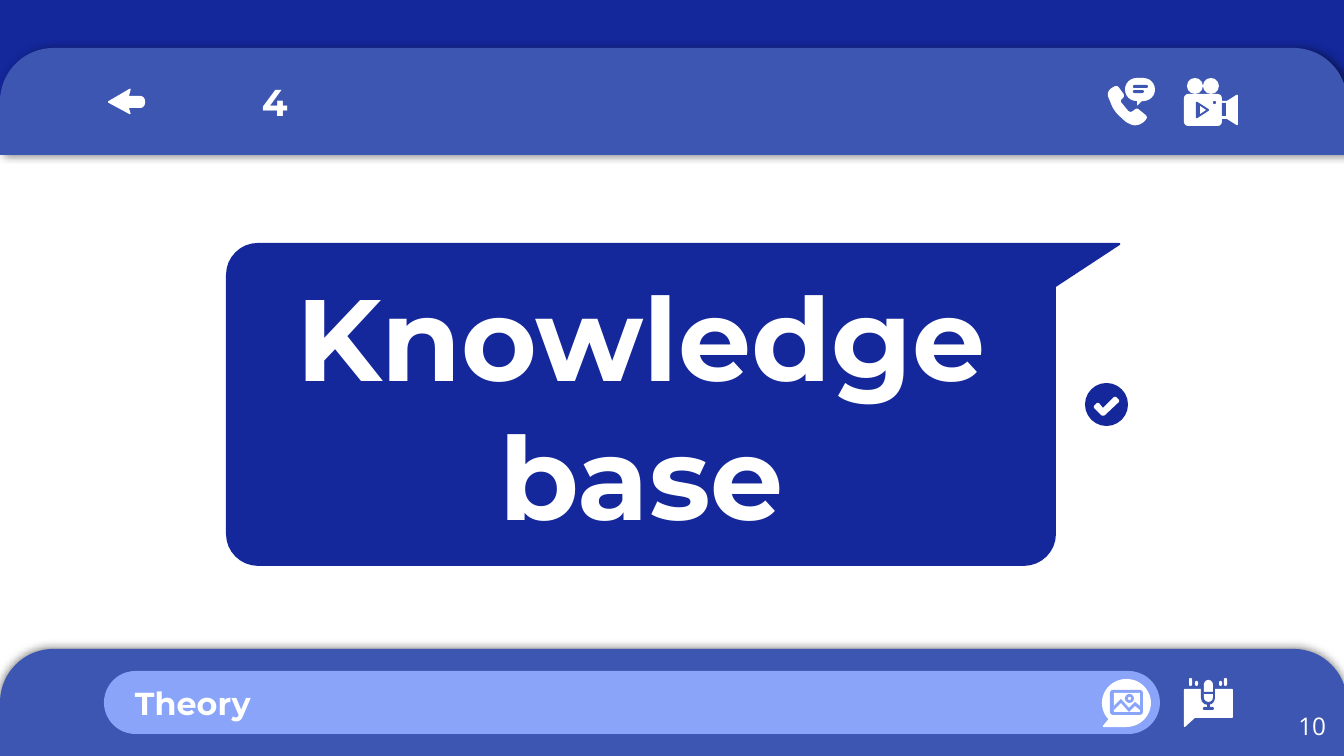
import math

import lxml.etree
import pptx
import pptx.dml.color
import pptx.enum.shapes
import pptx.enum.text
import pptx.oxml.ns
import pptx.util

SCALE = 9144000 / 1344
WIDTH, HEIGHT = 1344, 756
INSET = 13
NAVY = pptx.dml.color.RGBColor(0x14, 0x27, 0x9B)
BLUE = pptx.dml.color.RGBColor(0x3D, 0x56, 0xB2)
FIELD = pptx.dml.color.RGBColor(0x8A, 0xA4, 0xF9)
WHITE = pptx.dml.color.RGBColor(0xFF, 0xFF, 0xFF)
SHAPE = pptx.enum.shapes.MSO_SHAPE
ALIGN = pptx.enum.text.PP_ALIGN
ANCHOR = pptx.enum.text.MSO_ANCHOR


def emu(px):
    return pptx.util.Emu(round(px * SCALE))


def paint(shape, color):
    shape.shadow.inherit = False
    shape.fill.solid()
    shape.fill.fore_color.rgb = color
    shape.line.fill.background()
    return shape


def preset(page, box, part, color, kind=SHAPE.RECTANGLE, adjustments=()):
    left, top = box[0] + part[0], box[1] + part[1]
    shape = page.shapes.add_shape(kind, emu(left), emu(top), emu(part[2]), emu(part[3]))
    for index, value in enumerate(adjustments):
        shape.adjustments[index] = value
    return paint(shape, color)


def rounded(page, box, part, color, radius=0.5):
    return preset(page, box, part, color, SHAPE.ROUNDED_RECTANGLE, [radius])


def oval(page, box, part, color):
    return preset(page, box, part, color, SHAPE.OVAL)


def toward(start, end, length):
    ratio = length / math.dist(start, end)
    return [a + (b - a) * ratio for a, b in zip(start, end)]


def corner_points(before, corner, after, radius, steps=8):
    if not radius:
        return [corner]
    start, end = toward(corner, before, radius), toward(corner, after, radius)
    first, second = toward(corner, before, radius * 0.45), toward(corner, after, radius * 0.45)
    points = []
    for step in range(steps + 1):
        t = step / steps
        weights = ((1 - t) ** 3, 3 * t * (1 - t) ** 2, 3 * t * t * (1 - t), t ** 3)
        points.append([
            sum(w * p[axis] for w, p in zip(weights, (start, first, second, end)))
            for axis in (0, 1)
        ])
    return points


def outline(page, box, corners, color):
    points = []
    for index, (x, y, radius) in enumerate(corners):
        before = corners[index - 1][:2]
        after = corners[(index + 1) % len(corners)][:2]
        points += corner_points(before, (x, y), after, radius)
    vertices = [(emu(box[0] + x), emu(box[1] + y)) for x, y in points]
    builder = page.shapes.build_freeform(*vertices[0], scale=1.0)
    builder.add_line_segments(vertices[1:], close=True)
    return paint(builder.convert_to_shape(), color)


def write(frame, text, size, font="Montserrat", bold=True, align=ALIGN.LEFT, anchor=ANCHOR.TOP):
    frame.word_wrap = True
    frame.auto_size = pptx.enum.text.MSO_AUTO_SIZE.NONE
    frame.vertical_anchor = anchor
    frame.margin_left = frame.margin_right = emu(INSET)
    frame.margin_top = frame.margin_bottom = emu(INSET)
    para = frame.paragraphs[0]
    para.alignment = align
    span = para.add_run()
    span.text = text
    span.font.name = font
    span.font.size = pptx.util.Pt(size)
    span.font.bold = bold
    span.font.color.rgb = WHITE


def label(page, box, part, text, size, **style):
    left, top = box[0] + part[0], box[1] + part[1]
    shape = page.shapes.add_textbox(emu(left), emu(top), emu(part[2]), emu(part[3]))
    write(shape.text_frame, text, size, **style)


def bar(page, box, direction):
    shape = preset(page, box, (0, 0, *box[2:]), BLUE, SHAPE.ROUND_2_SAME_RECTANGLE, [0.5, 0])
    qn = pptx.oxml.ns.qn
    effects = shape.element.spPr.find(qn("a:effectLst"))
    shadow = lxml.etree.SubElement(
        effects, qn("a:outerShdw"), blurRad="57150", dist="19050",
        dir=str(direction * 60000), algn="bl", rotWithShape="0")
    color = lxml.etree.SubElement(shadow, qn("a:srgbClr"), val="000000")
    lxml.etree.SubElement(color, qn("a:alpha"), val="49000")


def back_arrow(page, box):
    outline(page, box, [(0, 14, 2), (24, 0, 2), (22, 8, 0), (38, 8, 5),
                        (38, 20, 5), (22, 20, 0), (24, 27, 2)], WHITE)


def phone_icon(page, box):
    outline(page, box, [(10, 7, 3), (18, 18, 3), (13, 23, 2), (23, 35, 3),
                        (30, 30, 2), (41, 39, 3), (37, 44, 2), (30, 48, 4),
                        (21, 46, 5), (7, 33, 6), (0, 16, 3), (3, 11, 2)], WHITE)
    rounded(page, box, (18, 0, 30, 23), WHITE)
    outline(page, box, [(30, 20, 0), (30, 28, 1), (38, 20, 0)], WHITE)
    for part in ((26, 7, 15, 3), (26, 12, 11, 3)):
        rounded(page, box, part, BLUE)


def camera_icon(page, box):
    for left in (3, 19):
        oval(page, box, (left, 0, 16, 16), WHITE)
    rounded(page, box, (0, 16, 38, 32), WHITE, 0.13)
    outline(page, box, [(36, 23, 0), (43, 23, 0), (54, 16, 2),
                        (54, 48, 2), (43, 41, 0), (36, 41, 0)], WHITE)
    preset(page, box, (38, 25, 4, 13), BLUE)
    outline(page, box, [(12, 23, 2), (26, 32, 2), (12, 41, 2)], BLUE)
    outline(page, box, [(16, 28, 0), (22, 32, 0), (16, 36, 0)], WHITE)
    oval(page, box, (29, 23, 3, 3), BLUE)


def microphone_icon(page, box):
    for left, top, height in ((5, 0, 8), (11, 3, 5), (35, 3, 5), (40, 0, 8)):
        rounded(page, box, (left, top, 3, height), WHITE)
    outline(page, box, [(0, 11, 1), (49, 11, 1), (49, 40, 1), (11, 40, 0), (0, 50, 2)], WHITE)
    rounded(page, box, (17, 4, 14, 23), BLUE)
    preset(page, box, (23, 25, 3, 5), BLUE)
    rounded(page, box, (19, 29, 11, 3), BLUE)
    rounded(page, box, (20, 2, 9, 22), WHITE)
    preset(page, box, (20, 14, 9, 2), BLUE)


def gallery_icon(page, box):
    oval(page, box, (0, 0, 49, 48), WHITE)
    outline(page, box, [(0, 48, 2), (10, 36, 0), (24, 48, 0)], WHITE)
    rounded(page, box, (8, 11, 33, 25), FIELD, 0.12)
    preset(page, box, (12, 14, 26, 19), WHITE)
    oval(page, box, (23, 15, 9, 9), FIELD)
    oval(page, box, (26, 18, 3, 3), WHITE)
    ridge = [(12, 27), (19, 20), (27, 29), (33, 23), (38, 27)]
    lower = [(x, y + 4, 0) for x, y in reversed(ridge)]
    outline(page, box, [(x, y, 0) for x, y in ridge] + lower, FIELD)


def header(page, box):
    preset(page, box, (0, -49, box[2], 137), NAVY)
    bar(page, box, 0)
    back_arrow(page, (box[0] + 107, box[1] + 40))
    phone_icon(page, (box[0] + 1107, box[1] + 30))
    camera_icon(page, (box[0] + 1184, box[1] + 30))
    label(page, box, (249, 18, 501, 73), "4", 20)


def footer(page, box):
    bar(page, box, 237)
    rounded(page, box, (104, 22, 1056, 63), FIELD)
    gallery_icon(page, (box[0] + 1102, box[1] + 30))
    microphone_icon(page, (box[0] + 1184, box[1] + 29))
    label(page, box, (122, 22, 501, 63), "Theory", 17)
    label(page, box, (1258, 49, 81, 58), "10", 13, font="Open Sans", bold=False, align=ALIGN.RIGHT)


def message(page, box, text):
    left, top, width, height = box
    bubble = outline(page, box, [(0, 0, 32), (width + 67, 0, 5), (width, 44, 0),
                                 (width, height, 32), (0, height, 32)], NAVY)
    title = page.shapes.title
    title.left, title.top = emu(left), emu(top - 3)
    title.width, title.height = emu(width + 1), emu(height + 6)
    write(title.text_frame, text, 62, align=ALIGN.CENTER, anchor=ANCHOR.MIDDLE)
    bubble.element.addnext(title.element)
    badge = (left + width + 29, top + 140)
    oval(page, badge, (0, 0, 43, 43), NAVY)
    outline(page, badge, [(30, 13, 2), (35, 18, 2), (18, 34, 3),
                          (8, 24, 2), (13, 19, 2), (18, 25, 0)], WHITE)


def main():
    deck = pptx.Presentation()
    deck.slide_width, deck.slide_height = emu(WIDTH), emu(HEIGHT)
    page = deck.slides.add_slide(deck.slide_layouts[5])
    header(page, (0, 48, 1347, 107))
    footer(page, (0, 649, 1347, 107))
    message(page, (226, 243, 830, 323), "Knowledge base")
    deck.save("out.pptx")


if __name__ == "__main__":
    main()
